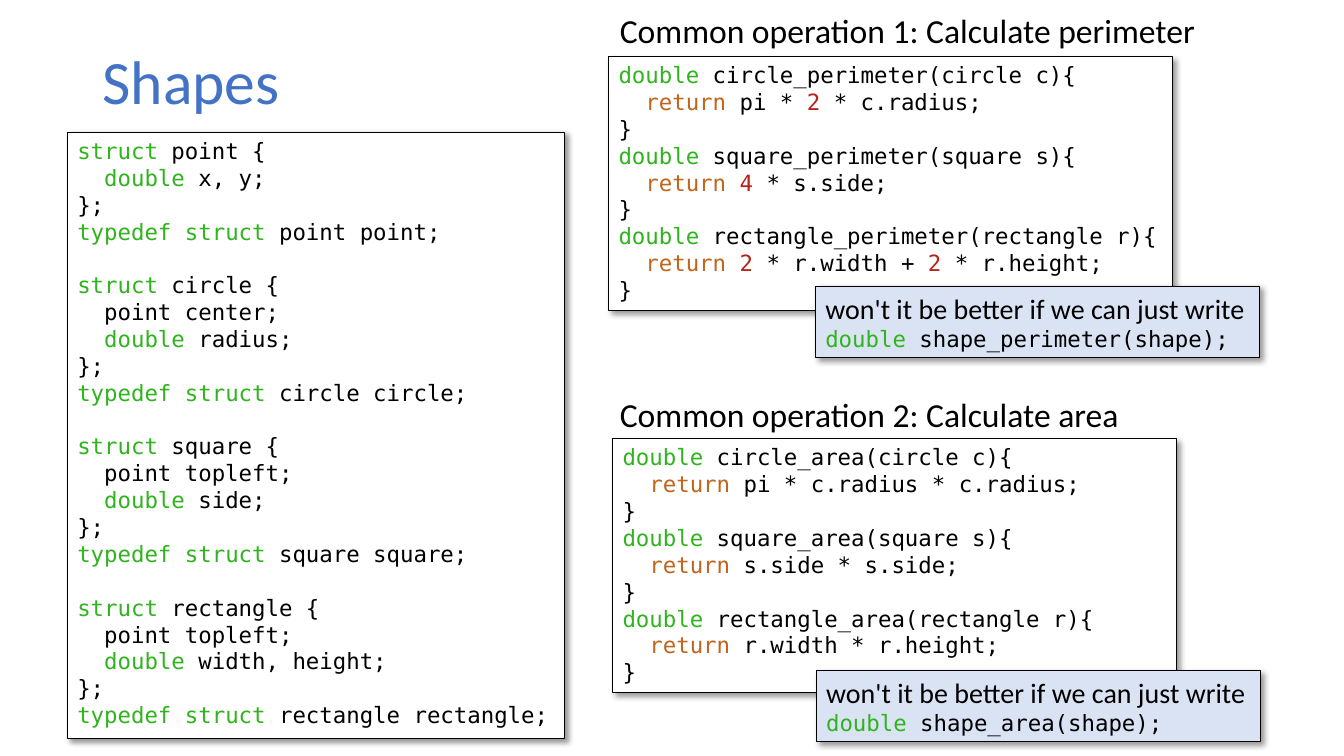
from dataclasses import dataclass
from itertools import groupby

from lxml import etree
from pptx import Presentation
from pptx.dml.color import RGBColor
from pptx.enum.shapes import MSO_SHAPE
from pptx.enum.text import MSO_ANCHOR, MSO_AUTO_SIZE, PP_ALIGN
from pptx.oxml.ns import qn
from pptx.util import Cm, Pt

RECTANGLE = MSO_SHAPE.RECTANGLE
TOP, MIDDLE = MSO_ANCHOR.TOP, MSO_ANCHOR.MIDDLE
LEFT = PP_ALIGN.LEFT
GROW, FIXED = MSO_AUTO_SIZE.SHAPE_TO_FIT_TEXT, MSO_AUTO_SIZE.NONE


@dataclass(frozen=True)
class Theme:
    text_font: str = "Calibri"
    code_font: str = "DejaVu Sans Mono"
    title_size: int = 44
    heading_size: int = 24
    note_size: int = 20
    code_size: int = 16
    code_line: float = 19.2
    border: float = 0.75
    accent: str = "4472C4"
    black: str = "000000"
    white: str = "FFFFFF"
    note_fill: str = "DAE3F3"
    type_word: str = "2FB41D"
    return_word: str = "C1651C"
    number: str = "B42419"


STRUCTS = """\
struct point {
  double x, y;
};
typedef struct point point;

struct circle {
  point center;
  double radius;
};
typedef struct circle circle;

struct square {
  point topleft;
  double side;
};
typedef struct square square;

struct rectangle {
  point topleft;
  double width, height;
};
typedef struct rectangle rectangle;"""

PERIMETERS = """\
double circle_perimeter(circle c){
  return pi * 2 * c.radius;
}
double square_perimeter(square s){
  return 4 * s.side;
}
double rectangle_perimeter(rectangle r){
  return 2 * r.width + 2 * r.height;
}"""

AREAS = """\
double circle_area(circle c){
  return pi * c.radius * c.radius;
}
double square_area(square s){
  return s.side * s.side;
}
double rectangle_area(rectangle r){
  return r.width * r.height;
}"""

# heading, heading box, code, code box, wished-for call, note box
OPERATIONS = [
    ("Common operation 1: Calculate perimeter", (15.37, 0.13, 15.14, 1.27),
     PERIMETERS, (15.34, 1.42, 14.22, 6.4),
     "double shape_perimeter(shape);", (20.55, 7.21, 11.2, 1.8)),
    ("Common operation 2: Calculate area", (15.37, 9.8, 13.21, 1.27),
     AREAS, (15.44, 11.05, 14.22, 6.4),
     "double shape_area(shape);", (20.57, 16.89, 11.2, 1.8)),
]


def set_format(target, **values):
    for name, value in values.items():
        setattr(target, name, value)


def is_word_character(character):
    return character.isalnum() or character == "_"


class SlideBuilder:
    def __init__(self, slide, theme):
        self.slide = slide
        self.theme = theme

    def add_run(self, paragraph, text, font, size, color):
        run = paragraph.add_run()
        run.text = text
        set_format(run.font, name=font, size=Pt(size))
        run.font.color.rgb = RGBColor.from_string(color)

    def word_color(self, word):
        if word in ("struct", "typedef", "double"):
            return self.theme.type_word
        if word == "return":
            return self.theme.return_word
        return self.theme.number if word.isdigit() else self.theme.black

    def code_line(self, paragraph, line):
        words = ["".join(group) for _, group in groupby(line, is_word_character)]
        for color, group in groupby(words, self.word_color):
            self.add_run(paragraph, "".join(group), self.theme.code_font,
                         self.theme.code_size, color)

    def title(self, text, box):
        title = self.slide.shapes.title
        set_format(title, **dict(zip(("left", "top", "width", "height"), map(Cm, box))))
        set_format(title.text_frame, vertical_anchor=MIDDLE, auto_size=FIXED, word_wrap=True)
        paragraph = title.text_frame.paragraphs[0]
        set_format(paragraph, alignment=LEFT, line_spacing=0.9)
        self.add_run(paragraph, text, self.theme.text_font,
                     self.theme.title_size, self.theme.accent)

    def heading(self, text, box):
        frame = self.slide.shapes.add_textbox(*map(Cm, box)).text_frame
        set_format(frame, word_wrap=False, auto_size=GROW)
        self.add_run(frame.paragraphs[0], text, self.theme.text_font,
                     self.theme.heading_size, self.theme.black)

    def panel(self, box, fill):
        """Add a bordered rectangle with a soft shadow and return its text frame."""
        shape = self.slide.shapes.add_shape(RECTANGLE, *map(Cm, box))
        shape.fill.solid()
        shape.fill.fore_color.rgb = RGBColor.from_string(fill)
        shape.line.color.rgb = RGBColor.from_string(self.theme.black)
        shape.line.width = Pt(self.theme.border)
        self.add_shadow(shape)
        set_format(shape.text_frame, word_wrap=False, auto_size=GROW, vertical_anchor=TOP)
        shape.text_frame.paragraphs[0].alignment = LEFT
        return shape.text_frame

    def add_shadow(self, shape):
        shape.shadow.inherit = False
        effects = shape._element.spPr.find(qn("a:effectLst"))
        shadow = etree.SubElement(effects, qn("a:outerShdw"), blurRad=str(Pt(4)),
                                  dist=str(Pt(3)), dir=str(45 * 60000),
                                  algn="tl", rotWithShape="0")
        color = etree.SubElement(shadow, qn("a:srgbClr"), val=self.theme.black)
        etree.SubElement(color, qn("a:alpha"), val="40000")

    def code(self, text, box):
        """Add a code panel; an empty line becomes space before the next one."""
        frame = self.panel(box, self.theme.white)
        for block_number, block in enumerate(text.split("\n\n")):
            for line_number, line in enumerate(block.split("\n")):
                is_first = block_number == line_number == 0
                paragraph = frame.paragraphs[0] if is_first else frame.add_paragraph()
                paragraph.alignment = LEFT
                if block_number and not line_number:
                    paragraph.space_before = Pt(self.theme.code_line)
                self.code_line(paragraph, line)

    def note(self, text, call, box):
        frame = self.panel(box, self.theme.note_fill)
        self.add_run(frame.paragraphs[0], text, self.theme.text_font,
                     self.theme.note_size, self.theme.black)
        paragraph = frame.add_paragraph()
        paragraph.alignment = LEFT
        self.code_line(paragraph, call)


def main():
    presentation = Presentation()
    set_format(presentation, slide_width=Cm(33.87), slide_height=Cm(19.05))
    title_only = presentation.slide_layouts[5]
    builder = SlideBuilder(presentation.slides.add_slide(title_only), Theme())

    builder.title("Shapes", (2.33, 1.02, 29.21, 2.2))
    builder.code(STRUCTS, (1.7, 3.33, 12.52, 15.29))
    for heading, heading_box, code, code_box, call, note_box in OPERATIONS:
        builder.heading(heading, heading_box)
        builder.code(code, code_box)
        builder.note("won't it be better if we can just write", call, note_box)

    presentation.save("out.pptx")


if __name__ == "__main__":
    main()
